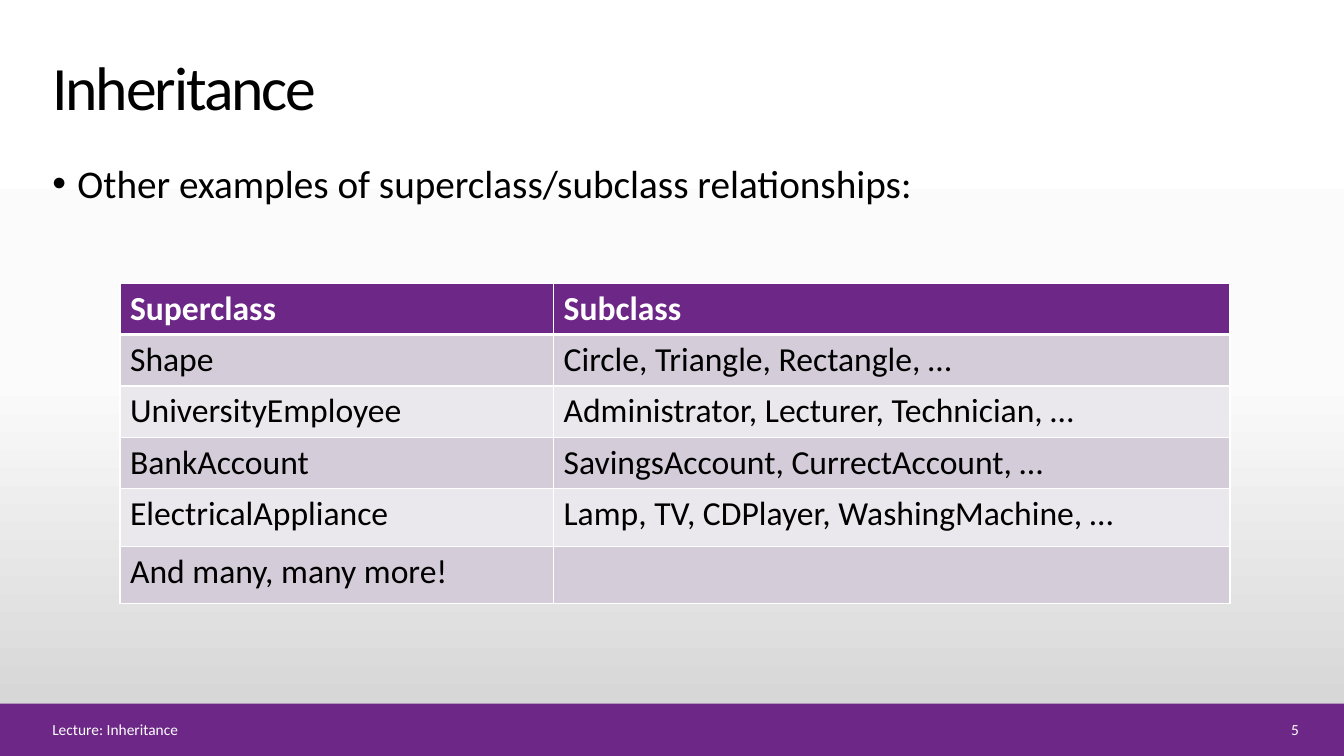
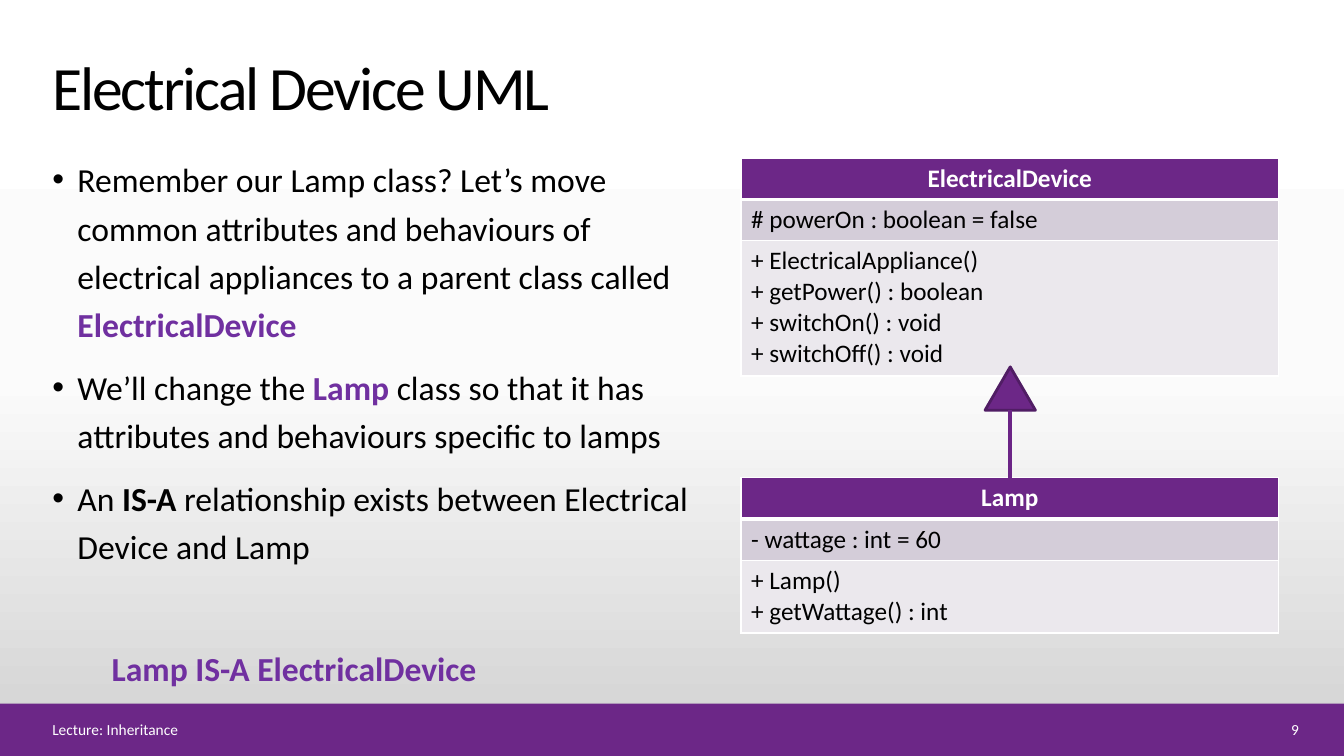
from lxml import etree
from pptx import Presentation
from pptx import util as u
from pptx.dml import color
from pptx.enum import shapes, text
from pptx.oxml import ns

HUES = {
    "band": "6C2787", "edge": "501D64", "link": "6B2486", "key": "7030A0",
    "odd": "D4CDD9", "even": "EBE8ED", "ink": "000000", "white": "FFFFFF",
}
FADE = {0: "FFFFFF", 50: "FBFBFB", 100: "D1D1D1"}
WIDE, HIGH, BAND = 13.33, 7.5, 0.52
LEFT = 0.42

PLAIN = {"name": "Calibri", "size": u.Pt(24), "bold": False}
TITLE = {**PLAIN, "size": u.Pt(44)}
LEAD = {**PLAIN, "size": u.Pt(28)}
CODE = {**PLAIN, "size": u.Pt(18)}
SMALL = {**PLAIN, "size": u.Pt(11)}
ITEM = {"space_before": u.Pt(10)}
LOOSE = {**ITEM, "line_spacing": 1.2}
MID = {"alignment": text.PP_ALIGN.CENTER}
RIGHT = {"alignment": text.PP_ALIGN.RIGHT}

KINDS = [
    ["Superclass", "Subclass"],
    ["Shape", "Circle, Triangle, Rectangle, …"],
    ["UniversityEmployee", "Administrator, Lecturer, Technician, …"],
    ["BankAccount", "SavingsAccount, CurrectAccount, …"],
    ["ElectricalAppliance", "Lamp, TV, CDPlayer, WashingMachine, …"],
    ["And many, many more!", ""],
]
# A run is its text, its colour and whether it is bold.
NOTES = [
    [("Remember our Lamp class? Let’s move common attributes and behaviours "
      "of electrical appliances to a parent class called ", "ink", False),
     ("ElectricalDevice", "key", True)],
    [("We’ll change the ", "ink", False), ("Lamp", "key", True),
     (" class so that it has attributes and behaviours specific to lamps",
      "ink", False)],
    [("An ", "ink", False), ("IS-A", "ink", True),
     (" relationship exists between Electrical Device and Lamp",
      "ink", False)],
]
DEVICE = ["ElectricalDevice", "# powerOn : boolean = false",
          "+ ElectricalAppliance()\n+ getPower() : boolean\n"
          "+ switchOn() : void\n+ switchOff() : void"]
LAMP = ["Lamp", "- wattage : int = 60", "+ Lamp()\n+ getWattage() : int"]


def put(item, values):
    """Set each format value on an object."""
    for name, value in values.items():
        setattr(item, name, value)


def rgb(hue):
    """Look up a named colour."""
    return color.RGBColor.from_string(HUES[hue])


def inches(*sizes):
    """Turn plain numbers into lengths."""
    return [u.Inches(size) for size in sizes]


def add(parent, tag, **attrs):
    """Append a drawing element with attributes."""
    return etree.SubElement(parent, ns.qn(tag), attrs)


def dot(para):
    """Give a paragraph a hanging bullet."""
    props = para._p.get_or_add_pPr()
    step = u.Inches(0.25)
    props.set("marL", str(step))
    props.set("indent", str(-step))
    add(props, "a:buFont", typeface="Arial")
    add(props, "a:buChar", char="•")


def write(frame, paras, font, form=None, bullet=False):
    """Fill a text frame with paragraphs made of runs."""
    for i, runs in enumerate(paras):
        para = frame.add_paragraph() if i else frame.paragraphs[0]
        if bullet:
            dot(para)
        put(para, form or {})
        for words, hue, bold in runs:
            run = para.add_run()
            run.text = words
            put(run.font, {**font, "bold": bold})
            run.font.color.rgb = rgb(hue)


def label(slide, box, paras, font, anchor="TOP", **rest):
    """Place a wrapping text box."""
    frame = slide.shapes.add_textbox(*inches(*box)).text_frame
    put(frame, {"word_wrap": True,
                "vertical_anchor": text.MSO_ANCHOR[anchor]})
    write(frame, paras, font, **rest)
    return frame


def solid(group, kind, box, hue, edge=None):
    """Place a filled preset shape, outlined if an edge is named."""
    shape = group.add_shape(kind, *inches(*box))
    shape.shadow.inherit = False
    shape.fill.solid()
    shape.fill.fore_color.rgb = rgb(hue)
    if edge:
        shape.line.color.rgb = rgb(edge)
        shape.line.width = u.Pt(2)
    else:
        shape.line.fill.background()


def fade(slide):
    """Shade the background from top to bottom."""
    fill = slide.background.fill
    fill.gradient()
    fill.gradient_angle = 270
    stops = fill.gradient_stops._gsLst
    for old in list(stops):
        stops.remove(old)
    for place, hue in FADE.items():
        stop = add(stops, "a:gs", pos=str(place * 1000))
        add(stop, "a:srgbClr", val=hue)


def start(deck, title, number):
    """Add a slide with its background, title, band and footer."""
    slide = deck.slides.add_slide(deck.slide_layouts[6])
    fade(slide)
    solid(slide.shapes, shapes.MSO_SHAPE.RECTANGLE,
          (0, HIGH - BAND, WIDE, BAND), "band")
    frame = label(slide, (LEFT, 0.4, 10.4, 0.87), [[(title, "ink", False)]],
                  TITLE, "BOTTOM")
    frame.paragraphs[0].runs[0].font._element.set("spc", "-150")
    foot = [(LEFT, 11.65, "Lecture: Inheritance", None),
            (12.23, 0.75, str(number), RIGHT)]
    for left, width, words, form in foot:
        label(slide, (left, 7.12, width, 0.23), [[(words, "white", False)]],
              SMALL, "MIDDLE", form=form)
    return slide


def rule(cell, row):
    """Draw white cell borders, thick below the header."""
    props = cell._tc.get_or_add_tcPr()
    thick = {0: "a:lnB", 1: "a:lnT"}.get(row)
    for tag in ("a:lnL", "a:lnR", "a:lnT", "a:lnB"):
        line = add(props, tag, w=str(u.Pt(3 if tag == thick else 1)))
        add(add(line, "a:solidFill"), "a:srgbClr", val=HUES["white"])


def grid(slide, left, top, cols, rows, cells, font, head=None):
    """Place a table with a header and banded rows."""
    size = inches(left, top, sum(cols), sum(rows))
    table = slide.shapes.add_table(len(rows), len(cols), *size).table
    for col, width in zip(table.columns, cols):
        col.width = u.Inches(width)
    for r, (row, height) in enumerate(zip(table.rows, rows)):
        row.height = u.Inches(height)
        hue = "odd" if r % 2 else "even" if r else "band"
        ink = "ink" if r else "white"
        for cell, words in zip(row.cells, cells[r]):
            rule(cell, r)
            cell.fill.solid()
            cell.fill.fore_color.rgb = rgb(hue)
            if words:
                paras = [[(line, ink, r == 0)] for line in words.split("\n")]
                write(cell.text_frame, paras, font, None if r else head)


def model(slide, top, parts):
    """Place a UML class box."""
    rows = [0.1 + 0.31 * len(part.split("\n")) for part in parts]
    grid(slide, 7.35, top, [5.33], rows, [[part] for part in parts],
         CODE, MID)


def arrow(slide, mid, top, end):
    """Place a UML inheritance arrow pointing up."""
    group = slide.shapes.add_group_shape().shapes
    wide, high = 0.5, 0.43
    solid(group, shapes.MSO_SHAPE.ISOSCELES_TRIANGLE,
          (mid - wide / 2, top, wide, high), "band", "edge")
    line = group.add_connector(shapes.MSO_CONNECTOR.STRAIGHT,
                               *inches(mid, top + high, mid, end))
    line.line.color.rgb = rgb("link")
    line.line.width = u.Pt(3)
    add(line._element.spPr, "a:effectLst")


def pairs(deck):
    """Build the slide of superclass examples."""
    slide = start(deck, "Inheritance", 5)
    lead = "Other examples of superclass/subclass relationships:"
    label(slide, (LEFT, 1.53, 12.55, 5.23), [[(lead, "ink", False)]], LEAD,
          form=ITEM, bullet=True)
    grid(slide, 1.19, 2.81, [4.3, 6.71], [0.51] * 4 + [0.57] * 2, KINDS,
         PLAIN)


def uml(deck):
    """Build the slide of the class diagram."""
    slide = start(deck, "Electrical Device UML", 9)
    label(slide, (LEFT, 1.45, 6.61, 4.7), NOTES, PLAIN, form=LOOSE,
          bullet=True)
    model(slide, 1.57, DEVICE)
    model(slide, 4.74, LAMP)
    arrow(slide, 10.02, 3.64, 4.74)
    label(slide, (1.01, 6.38, 4.53, 0.5),
          [[("Lamp IS-A ElectricalDevice", "key", True)]], PLAIN)


def main():
    """Build and save the deck."""
    deck = Presentation()
    put(deck, {"slide_width": u.Inches(WIDE), "slide_height": u.Inches(HIGH)})
    pairs(deck)
    uml(deck)
    deck.save("out.pptx")


main()
